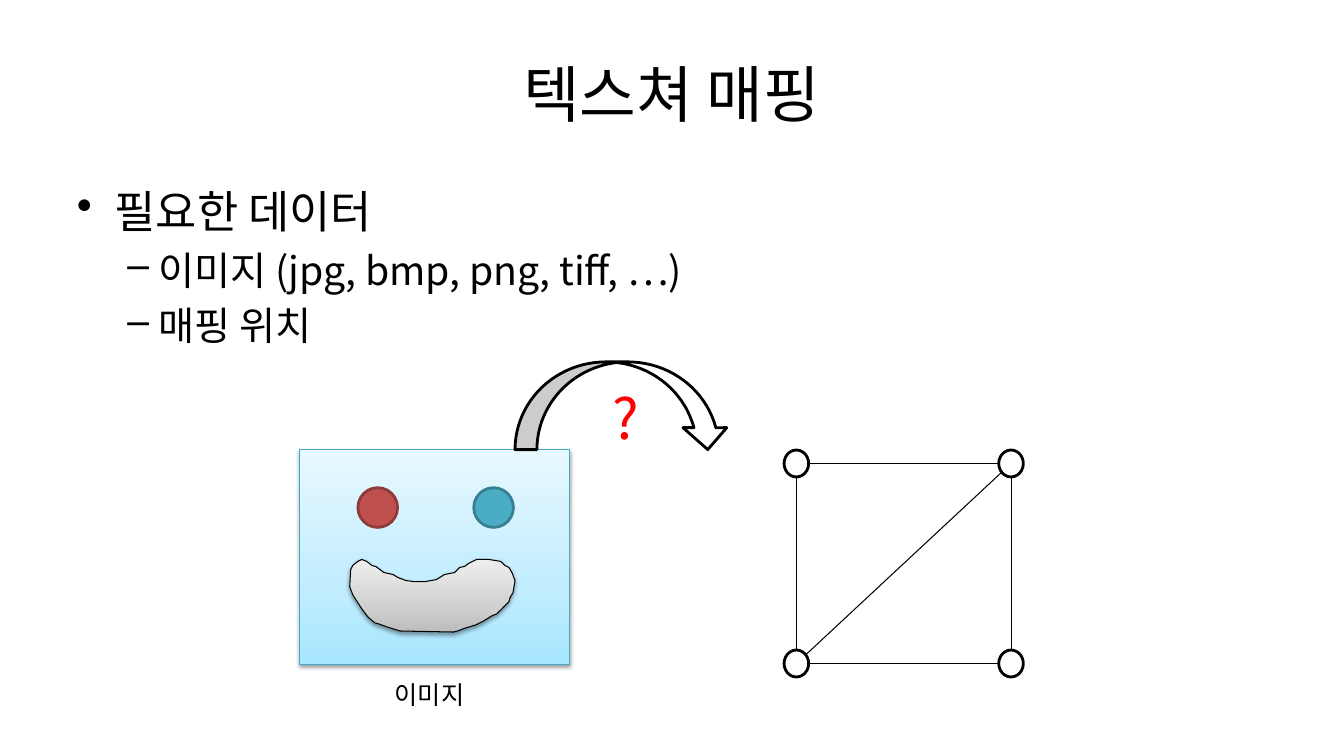
import math
from copy import deepcopy
from dataclasses import dataclass

import pptx
import pptx.dml.color
import pptx.enum.shapes
import pptx.enum.text
import pptx.oxml
import pptx.oxml.ns
import pptx.util
from lxml import etree

Cm = pptx.util.Cm
Pt = pptx.util.Pt
qn = pptx.oxml.ns.qn
SHAPE = pptx.enum.shapes.MSO_SHAPE
ALIGN = pptx.enum.text.PP_ALIGN
ANCHOR = pptx.enum.text.MSO_ANCHOR


@dataclass(frozen=True)
class Theme:
    font: str = "Noto Sans CJK KR"
    black: str = "000000"
    white: str = "FFFFFF"
    question: str = "FF0000"
    red_eye: tuple = ("C0504D", "8E3B39")
    blue_eye: tuple = ("4BACC6", "377F92")
    sky: tuple = ("A7E6FF", "C1EDFF", "E7F8FF")
    sky_line: str = "46AAC5"
    silver: tuple = ("BDBDBD", "D1D1D1", "EEEEEE")
    title: int = 44
    mark: int = 40
    heading: int = 32
    item: int = 28
    caption: int = 18
    line_height: float = 1.25
    thin: float = 0.75
    thick: float = 2


THEME = Theme()
SMILE = (
    (359, 604), (350, 590), (347, 582), (348, 565), (350, 561), (355, 557),
    (359, 555), (364, 557), (369, 561), (373, 562), (381, 568), (390, 570),
    (395, 573), (403, 576), (411, 577), (422, 577), (433, 575), (441, 570),
    (451, 568), (456, 563), (461, 562), (465, 559), (473, 555), (485, 555),
    (497, 557), (501, 561), (505, 563), (508, 568), (511, 576), (509, 588),
    (506, 593), (505, 597), (497, 605), (493, 609), (488, 611), (480, 616),
    (476, 618), (472, 620), (462, 623), (454, 626), (450, 627), (397, 626),
    (384, 622), (376, 619), (372, 618), (365, 612),
)


def rgb(color):
    return pptx.dml.color.RGBColor.from_string(color)


def add_box(page, left, top, width, height, wrap=True, anchor=ANCHOR.TOP):
    box = page.shapes.add_textbox(Cm(left), Cm(top), Cm(width), Cm(height))
    box.text_frame.word_wrap = wrap
    box.text_frame.vertical_anchor = anchor
    return box


def add_bullet(para, bullet, level, margin, hanging):
    para.level = level
    properties = para._p.get_or_add_pPr()
    properties.set("marL", str(Cm(margin)))
    properties.set("indent", str(-Cm(hanging)))
    etree.SubElement(properties, qn("a:buChar")).set("char", bullet)


def write(para, text, size, color=THEME.black, align=ALIGN.LEFT, before=0, fixed=True):
    para.alignment = align
    para.space_before = Pt(before)
    if fixed:
        para.line_spacing = Pt(size * THEME.line_height)
    span = para.add_run()
    span.text = text
    span.font.size = Pt(size)
    span.font.color.rgb = rgb(color)
    span.font.name = THEME.font
    etree.SubElement(span._r.get_or_add_rPr(), qn("a:ea")).set("typeface", THEME.font)


def outline(shape, color, width):
    shape.shadow.inherit = False
    shape.line.color.rgb = rgb(color)
    shape.line.width = Pt(width)


def add_solid(page, kind, left, top, width, height, fill=THEME.white, line=THEME.black):
    shape = page.shapes.add_shape(kind, Cm(left), Cm(top), Cm(width), Cm(height))
    shape.fill.solid()
    shape.fill.fore_color.rgb = rgb(fill)
    outline(shape, line, THEME.thick)
    return shape


def shade(shape, colors, line):
    outline(shape, line, THEME.thin)
    shape.fill.gradient()
    stop_list = shape._element.spPr.find(qn("a:gradFill")).find(qn("a:gsLst"))
    stop_list.insert(1, deepcopy(stop_list[0]))
    for stop, position, color in zip(shape.fill.gradient_stops, (0, 0.35, 1), colors):
        stop.position = position
        stop.color.rgb = rgb(color)
    shape.fill.gradient_angle = 90
    effects = shape._element.spPr.find(qn("a:effectLst"))
    shadow = etree.SubElement(effects, qn("a:outerShdw"), blurRad="40000",
                              dist="20000", dir="5400000", rotWithShape="0")
    tint = etree.SubElement(shadow, qn("a:srgbClr"), val=THEME.black)
    etree.SubElement(tint, qn("a:alpha"), val="38000")


def add_edge(page, start, end, radius_x, radius_y):
    run, rise = end[0] - start[0], end[1] - start[1]
    trim = 1 / math.hypot(run / radius_x, rise / radius_y)
    edge = page.shapes.add_connector(
        pptx.enum.shapes.MSO_CONNECTOR.STRAIGHT,
        Cm(start[0] + run * trim), Cm(start[1] + rise * trim),
        Cm(end[0] - run * trim), Cm(end[1] - rise * trim))
    edge.line.color.rgb = rgb(THEME.black)
    edge.line.width = Pt(THEME.thin)
    etree.SubElement(edge._element.spPr, qn("a:effectLst"))


def add_outline_text(page):
    title = add_box(page, 1.69, 0.76, 30.48, 3.18, anchor=ANCHOR.MIDDLE)
    write(title.text_frame.paragraphs[0], "텍스쳐 매핑", THEME.title,
          align=ALIGN.CENTER, fixed=False)
    body = add_box(page, 1.69, 4.45, 30.48, 12.57).text_frame
    heading = body.paragraphs[0]
    add_bullet(heading, "•", 0, 0.95, 0.95)
    write(heading, "필요한 데이터", THEME.heading)
    for text in ("이미지 (jpg, bmp, png, tiff, …)", "매핑 위치"):
        item = body.add_paragraph()
        add_bullet(item, "–", 1, 2.06, 0.79)
        write(item, text, THEME.item, before=4.6)


def add_face(page):
    canvas = page.shapes.add_shape(SHAPE.RECTANGLE, Cm(7.54), Cm(11.33), Cm(6.81), Cm(5.41))
    shade(canvas, THEME.sky, THEME.sky_line)
    for left, colors in ((9.02, THEME.red_eye), (11.94, THEME.blue_eye)):
        add_solid(page, SHAPE.OVAL, left, 12.29, 1, 1, *colors)
    builder = page.shapes.build_freeform(*SMILE[0], scale=Cm(2.54) / 100)
    builder.add_line_segments(SMILE[1:], close=True)
    shade(builder.convert_to_shape(), THEME.silver, THEME.black)
    caption = add_box(page, 9.7, 16.97, 2.44, 1.02, wrap=False)
    write(caption.text_frame.paragraphs[0], "이미지", THEME.caption)


def add_mesh(page):
    left, right, top, bottom = 20.07, 25.48, 11.68, 16.72
    width, height = 0.62, 0.68
    corners = [(x, y) for y in (top, bottom) for x in (left, right)]
    for x, y in corners:
        add_solid(page, SHAPE.OVAL, x - width / 2, y - height / 2, width, height)
    for start, end in ((0, 2), (0, 1), (1, 3), (2, 3), (2, 1)):
        add_edge(page, corners[start], corners[end], width / 2, height / 2)


def add_question(page):
    add_solid(page, SHAPE.CURVED_DOWN_ARROW, 12.98, 9.12, 5.41, 2.21)
    mark = add_box(page, 15.19, 9.47, 2.01, 1.96)
    write(mark.text_frame.paragraphs[0], "?", THEME.mark, color=THEME.question)


def main():
    deck = pptx.Presentation()
    deck.slide_width, deck.slide_height = Cm(33.87), Cm(19.05)
    page = deck.slides.add_slide(deck.slide_layouts[6])
    add_outline_text(page)
    add_face(page)
    add_mesh(page)
    add_question(page)
    deck.save("out.pptx")


if __name__ == "__main__":
    main()
